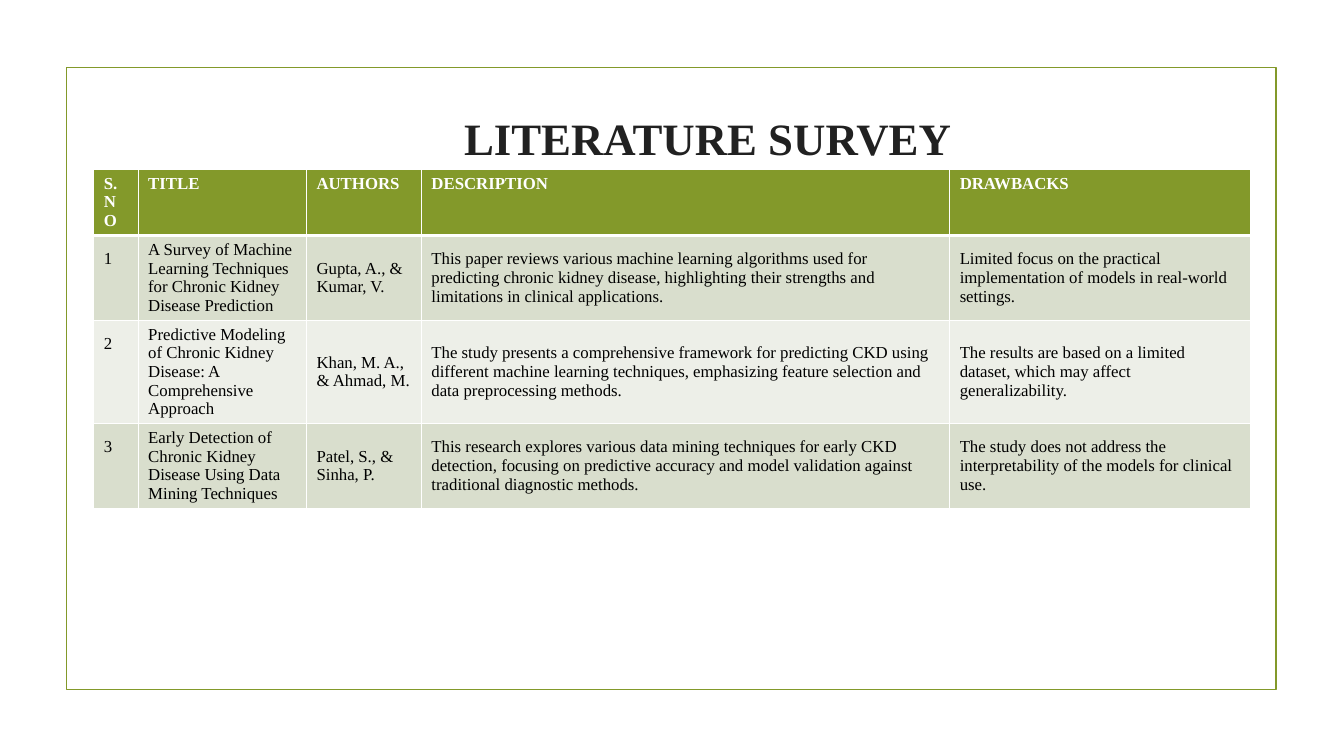
import pptx
import pptx.util
import pptx.dml.color
import pptx.enum.shapes
import pptx.enum.text
import pptx.oxml
import pptx.oxml.ns
from dataclasses import dataclass

Inches, Pt = pptx.util.Inches, pptx.util.Pt
RGB = pptx.dml.color.RGBColor.from_string
ANCHOR, ALIGN = pptx.enum.text.MSO_ANCHOR, pptx.enum.text.PP_ALIGN

# Content
TITLE = "LITERATURE SURVEY"
HEADERS = ["S.NO", "TITLE", "AUTHORS", "DESCRIPTION", "DRAWBACKS"]
PAPERS = [
    ("A Survey of Machine Learning Techniques for Chronic Kidney Disease Prediction",
     "Gupta, A., & Kumar, V.",
     "This paper reviews various machine learning algorithms used for predicting chronic "
     "kidney disease, highlighting their strengths and limitations in clinical applications.",
     "Limited focus on the practical implementation of models in real-world settings."),
    ("Predictive Modeling of Chronic Kidney Disease: A Comprehensive Approach",
     "Khan, M. A., & Ahmad, M.",
     "The study presents a comprehensive framework for predicting CKD using different machine "
     "learning techniques, emphasizing feature selection and data preprocessing methods.",
     "The results are based on a limited dataset, which may affect generalizability."),
    ("Early Detection of Chronic Kidney Disease Using Data Mining Techniques",
     "Patel, S., & Sinha, P.",
     "This research explores various data mining techniques for early CKD detection, focusing on "
     "predictive accuracy and model validation against traditional diagnostic methods.",
     "The study does not address the interpretability of the models for clinical use."),
]
COL_WIDTHS = [0.44, 1.67, 1.14, 5.24, 2.98]
ROW_HEIGHT = 0.41


@dataclass(frozen=True)
class Theme:
    font: str = "Times New Roman"
    green: str = "83992A"
    bands: tuple = ("D9DECD", "EDEFE8")
    white: str = "FFFFFF"
    black: str = "000000"
    heading: str = "212121"
    title_size: int = 32
    cell_size: int = 12


THEME = Theme()


def style_text(p, size, color, bold):
    for r in p.runs:
        r.font.name = THEME.font
        r.font.size = Pt(size)
        r.font.bold = bold
        r.font.color.rgb = RGB(color)


def set_borders(cell, bottom):
    tc_pr = cell._tc.get_or_add_tcPr()
    for i, (side, width) in enumerate([("L", 1), ("R", 1), ("T", 1), ("B", bottom)]):
        tc_pr.insert(i, pptx.oxml.parse_xml(
            f'<a:ln{side} {pptx.oxml.ns.nsdecls("a")} w="{Pt(width)}"><a:solidFill>'
            f'<a:srgbClr val="{THEME.white}"/></a:solidFill></a:ln{side}>'))


def fill_cell(cell, text, row, col):
    header = row == 0
    cell.text_frame.text = text
    p = cell.text_frame.paragraphs[0]
    style_text(p, THEME.cell_size, THEME.white if header else THEME.black, header)
    if not header and col == 0:
        p.alignment = ALIGN.JUSTIFY
        p.line_spacing = 1.5
    elif not header:
        cell.vertical_anchor = ANCHOR.MIDDLE
    cell.fill.solid()
    cell.fill.fore_color.rgb = RGB(THEME.green if header else THEME.bands[(row - 1) % 2])
    set_borders(cell, 3 if header else 1)


def main():
    prs = pptx.Presentation()
    prs.slide_width, prs.slide_height = Inches(13.33), Inches(7.5)
    s = prs.slides.add_slide(prs.slide_layouts[5])

    # Frame
    frame = s.shapes.add_shape(pptx.enum.shapes.MSO_SHAPE.RECTANGLE,
                               Inches(0.66), Inches(0.67), Inches(12), Inches(6.17))
    frame.shadow.inherit = False
    frame.fill.background()
    frame.line.color.rgb = RGB(THEME.green)
    frame.line.width = Pt(1.25)

    # Title
    title = s.shapes.title
    title.left, title.top = Inches(1.82), Inches(0.66)
    title.width, title.height = Inches(9.4), Inches(1.02)
    tf = title.text_frame
    tf.text = TITLE
    tf.word_wrap = True
    tf.auto_size = pptx.enum.text.MSO_AUTO_SIZE.NONE
    tf.vertical_anchor = ANCHOR.BOTTOM
    tf.margin_left = Inches(1.1)
    p = tf.paragraphs[0]
    p.alignment = ALIGN.CENTER
    p.line_spacing = 1.7
    style_text(p, THEME.title_size, THEME.heading, True)

    # Survey table
    rows = [HEADERS] + [(str(n), *paper) for n, paper in enumerate(PAPERS, 1)]
    table = s.shapes.add_table(len(rows), len(HEADERS), Inches(0.93), Inches(1.68),
                               Inches(sum(COL_WIDTHS)), Inches(ROW_HEIGHT * len(rows))).table
    for column, width in zip(table.columns, COL_WIDTHS):
        column.width = Inches(width)
    for i, row in enumerate(rows):
        for j, text in enumerate(row):
            fill_cell(table.cell(i, j), text, i, j)

    prs.save("out.pptx")


if __name__ == "__main__":
    main()
